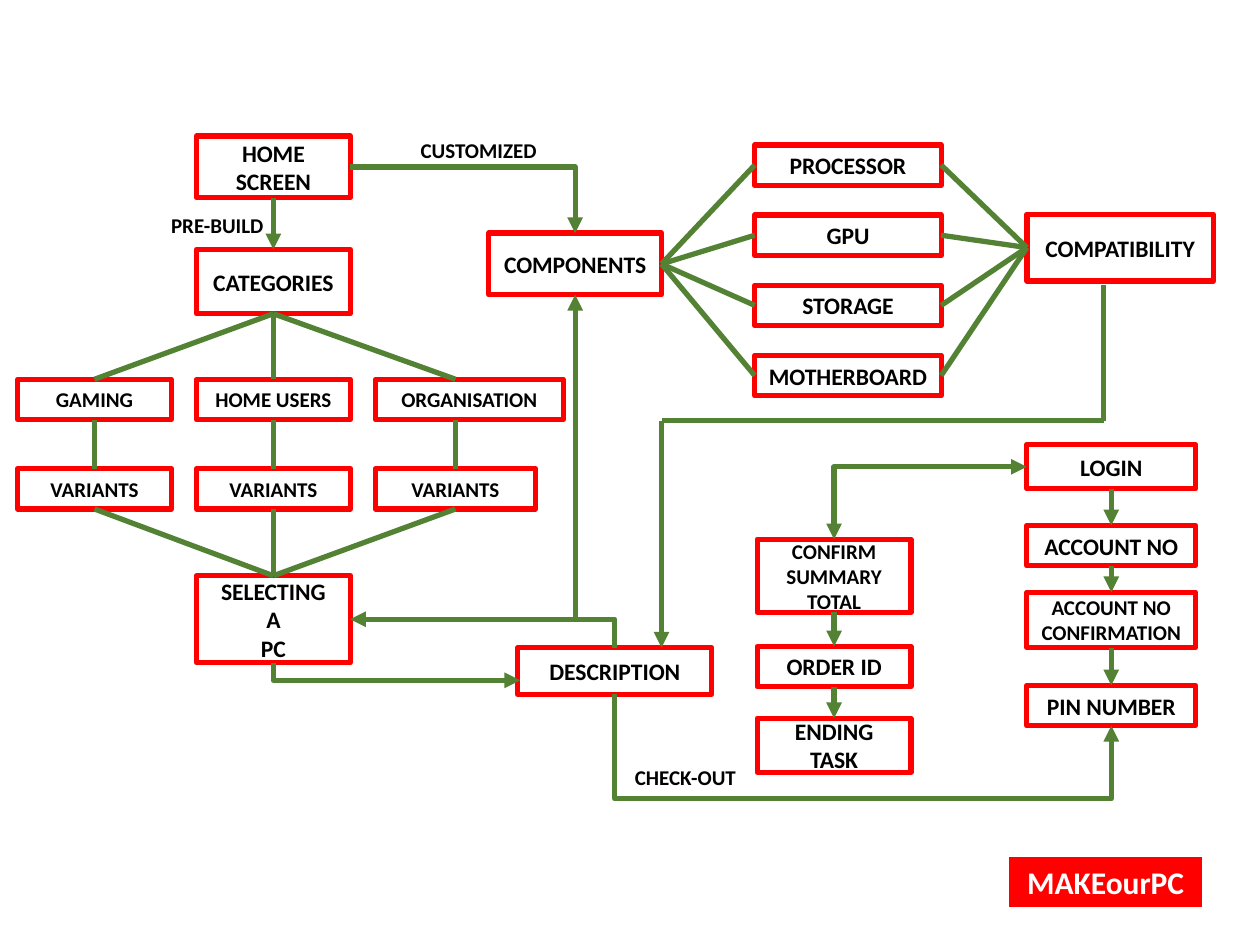
from pptx import Presentation
from pptx.dml.color import RGBColor
from pptx.enum.shapes import MSO_CONNECTOR as CONN, MSO_SHAPE as SHAPE
from pptx.enum.text import MSO_ANCHOR as ANCHOR, PP_ALIGN as ALIGN
from pptx.oxml.ns import qn
from pptx.util import Inches, Pt
from lxml.etree import SubElement

COLS, ROWS = 100, 75
WIDTH, HEIGHT = Inches(10), Inches(7.5)
RED, GREEN, WHITE, BLACK = "FF0000", "548235", "FFFFFF", "000000"
TOP, LEFT, BOTTOM, RIGHT = range(4)


def rgb(value):
    return RGBColor.from_string(value)


def grid(col, row):
    return round(col * WIDTH / COLS), round(row * HEIGHT / ROWS)


def write(tf, lines, size, color, align):
    for i, line in enumerate(lines):
        p = tf.paragraphs[0] if i == 0 else tf.add_paragraph()
        p.alignment = align
        r = p.add_run()
        r.text = line
        r.font.name, r.font.size, r.font.bold = "Calibri", Pt(size), True
        r.font.color.rgb = rgb(color)


def node(s, box, lines, size=13.5, fill=WHITE, line=RED, weight=3, color=BLACK):
    sp = s.shapes.add_shape(SHAPE.RECTANGLE, *grid(*box[:2]), *grid(*box[2:]))
    sp.shadow.inherit = False
    sp.fill.solid()
    sp.fill.fore_color.rgb = rgb(fill)
    sp.line.color.rgb = rgb(line)
    sp.line.width = Pt(weight)
    tf = sp.text_frame
    tf.word_wrap = True
    tf.vertical_anchor = ANCHOR.MIDDLE
    write(tf, lines, size, color, ALIGN.CENTER)
    return sp


def label(s, box, text):
    sp = s.shapes.add_textbox(*grid(*box[:2]), *grid(*box[2:]))
    sp.text_frame.word_wrap = False
    write(sp.text_frame, [text], 12, BLACK, ALIGN.LEFT)


def side(sp, site):
    x, y = sp.left + sp.width // 2, sp.top + sp.height // 2
    return {TOP: (x, sp.top), LEFT: (sp.left, y),
            BOTTOM: (x, sp.top + sp.height), RIGHT: (sp.left + sp.width, y)}[site]


def line(s, start, end, *arrows, kind=CONN.STRAIGHT):
    c = s.shapes.add_connector(kind, *start, *end)
    c.line.color.rgb = rgb(GREEN)
    c.line.width = Pt(3)
    ln = c.line._get_or_add_ln()
    for tag in ("headEnd", "tailEnd"):
        if tag in arrows:
            SubElement(ln, qn("a:" + tag), type="triangle")
    SubElement(c._element.spPr, qn("a:effectLst"))
    return c


def link(s, a, a_site, b, b_site, *arrows):
    c = line(s, side(a, a_site), side(b, b_site), *arrows)
    c.begin_connect(a, a_site)
    c.end_connect(b, b_site)


def corner(s, start, end, *arrows):
    c = line(s, start, end, *arrows, kind=CONN.ELBOW)
    c._element.spPr.find(qn("a:prstGeom")).set("prst", "bentConnector2")


def loop_below(s, start, end, depth):
    (x1, y1), (x2, y2) = start, end
    w, h = y2 - y1, x2 - x1
    left, top = (x1 + x2 - w) // 2, (y1 + y2 - h) // 2
    c = line(s, (left + w, top), (left, top + h), "tailEnd", kind=CONN.ELBOW)
    spPr = c._element.spPr
    spPr.find(qn("a:xfrm")).set("rot", str(270 * 60000))
    av = spPr.find(qn("a:prstGeom")).find(qn("a:avLst"))
    SubElement(av, qn("a:gd"), name="adj1", fmla=f"val {round(depth / w * 100000)}")


def prebuilt(s, x, y):
    pitch, w = 14.2, 12.2
    mid = x + pitch
    home = node(s, (mid, y, w, 4.9), ["HOME SCREEN"])
    categories = node(s, (mid, y + 9, w, 5.1), ["CATEGORIES"])
    select = node(s, (mid, y + 34.9, w, 6.9), ["SELECTING", "A", "PC"])
    link(s, home, BOTTOM, categories, TOP, "tailEnd")
    kinds = [("GAMING", w, w), ("HOME USERS", w, w), ("ORGANISATION", 14.9, 12.7)]
    for i, (kind, kind_w, variant_w) in enumerate(kinds):
        left = x + i * pitch
        group = node(s, (left, y + 19.3, kind_w, 3.2), [kind], 12)
        variant = node(s, (left, y + 26.4, variant_w, 3.2), ["VARIANTS"], 12)
        top = side(variant, TOP)
        line(s, side(categories, BOTTOM), (top[0], group.top))
        line(s, (top[0], group.top + group.height), top)
        link(s, variant, BOTTOM, select, TOP)
    label(s, (x - 1.4 + 12.6, y + 5.6, 10, 3), "PRE-BUILD")
    return home, select


def custom(s, x, y):
    components = node(s, (x, y + 7, 13.7, 4.9), ["COMPONENTS"])
    compatibility = node(s, (x + 42.7, y + 5.5, 14.8, 5.3), ["COMPATIBILITY"])
    parts = ["PROCESSOR", "GPU", "STORAGE", "MOTHERBOARD"]
    for i, part in enumerate(parts):
        sp = node(s, (x + 21.1, y + i * 5.57, 14.8, 3.2), [part])
        link(s, components, RIGHT, sp, LEFT)
        link(s, sp, RIGHT, compatibility, LEFT)
    return components, compatibility


def chain(s, x, y, w, steps):
    nodes = [node(s, (x, y + dy, w, h), lines, size) for dy, h, lines, size in steps]
    for a, b in zip(nodes, nodes[1:]):
        link(s, a, BOTTOM, b, TOP, "tailEnd")
    return nodes


def routes(s, home, select, components, compatibility, description, login, pin, confirm):
    top, bottom = side(description, TOP), side(description, BOTTOM)
    into = side(components, BOTTOM)
    back = side(select, RIGHT)
    corner(s, side(home, RIGHT), side(components, TOP), "tailEnd")
    corner(s, grid(41.3, 54), side(select, BOTTOM), "headEnd")
    corner(s, back, top, "headEnd")
    line(s, (into[0], back[1]), into, "tailEnd")
    corner(s, side(login, LEFT), side(confirm, TOP), "headEnd", "tailEnd")
    start, turn, drop = grid(87.6, 22.6), grid(87.6, 33.4), grid(52.5, 33.4)
    line(s, start, turn)
    line(s, turn, drop)
    line(s, drop, (drop[0], description.top), "tailEnd")
    loop_below(s, bottom, side(pin, BOTTOM), grid(0, 8.3)[1])
    label(s, (32.4, 10.4, 12.3, 3), "CUSTOMIZED")
    label(s, (49.4, 60.2, 11.6, 3), "CHECK-OUT")


def main():
    prs = Presentation()
    prs.slide_width, prs.slide_height = WIDTH, HEIGHT
    s = prs.slides.add_slide(prs.slide_layouts[6])
    home, select = prebuilt(s, 1.4, 10.8)
    components, compatibility = custom(s, 38.8, 11.5)
    description = node(s, (41.1, 51.4, 15.4, 3.7), ["DESCRIPTION"])
    account = chain(s, 81.5, 35.3, 13.4, [
        (0, 3.5, ["LOGIN"], 13.5),
        (6.4, 3.2, ["ACCOUNT NO"], 13.5),
        (11.7, 4.4, ["ACCOUNT NO", "CONFIRMATION"], 12),
        (19.1, 3.2, ["PIN NUMBER"], 13.5)])
    order = chain(s, 60.1, 42.8, 12.2, [
        (0, 5.8, ["CONFIRM", "SUMMARY TOTAL"], 12),
        (8.5, 3.2, ["ORDER ID"], 13.5),
        (14.2, 4.3, ["ENDING TASK"], 13.5)])
    routes(s, home, select, components, compatibility, description,
           account[0], account[-1], order[0])
    node(s, (79.8, 67.7, 15.9, 4.6), ["MAKEourPC"], 18, RED, WHITE, 4.5, WHITE)
    prs.save("out.pptx")


if __name__ == "__main__":
    main()
